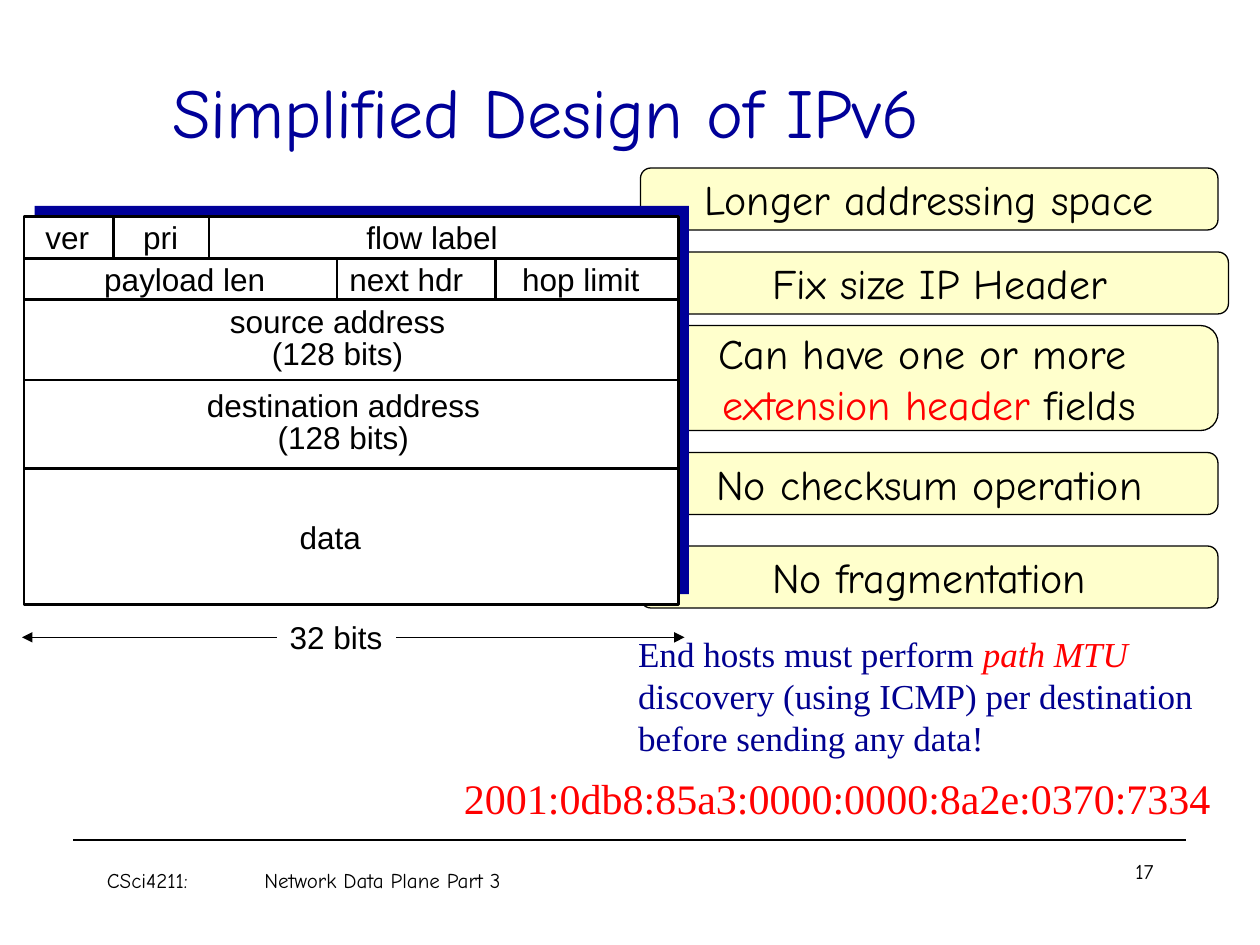
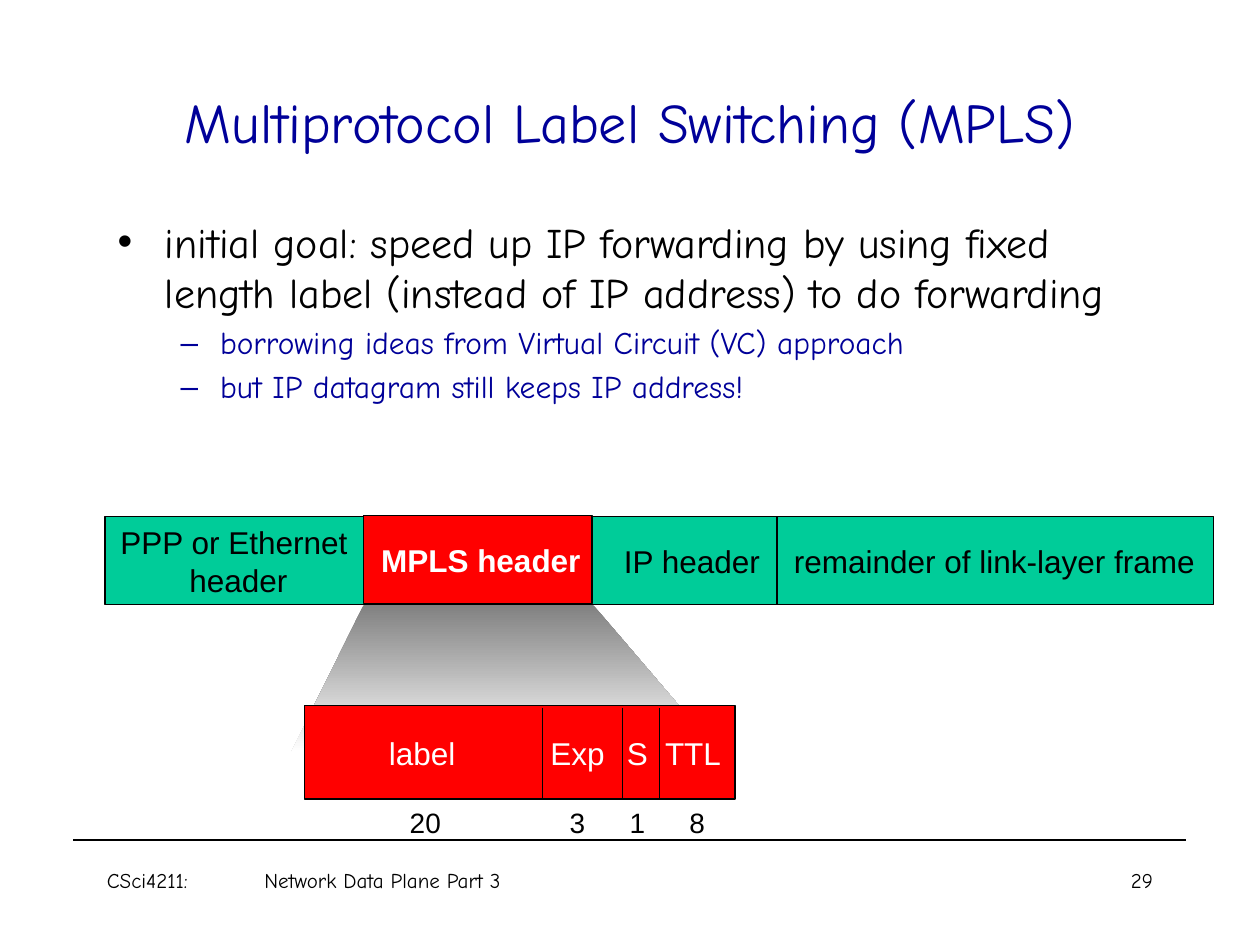
import pptx
import pptx.dml.color
import pptx.enum.shapes
import pptx.enum.text
import pptx.oxml.ns
import pptx.util
from lxml import etree

RGB = pptx.dml.color.RGBColor
KIND = pptx.enum.shapes.MSO_SHAPE
ALIGN = pptx.enum.text.PP_ALIGN
ANCHOR = pptx.enum.text.MSO_ANCHOR

BLACK = RGB(0x00, 0x00, 0x00)
WHITE = RGB(0xFF, 0xFF, 0xFF)
GRAY = RGB(0x80, 0x80, 0x80)
NAVY = RGB(0x00, 0x00, 0x99)
INK = RGB(0x00, 0x00, 0x90)
RED = RGB(0xFF, 0x00, 0x00)
GREEN = RGB(0x00, 0xCC, 0x99)
CREAM = RGB(0xFF, 0xFF, 0xCC)

HAND = "Comic Neue"
SANS = "Arial"
SERIF = "Times New Roman"

WIDE, HIGH = pptx.util.Inches(10), pptx.util.Inches(7.5)
COLS, ROWS = 120, 90
LINE_H = 4.8  # rows taken by one line of 18 point text


def col(n):
    return round(n * WIDE / COLS)


def row(n):
    return round(n * HIGH / ROWS)


def span(box):
    """Turn a grid box (left, top, width, height) into slide lengths."""
    left, top, width, height = box
    return col(left), row(top), col(width), row(height)


def write(frame, lines, size=18, font=SANS, color=BLACK, bold=False,
          italic=False, align=ALIGN.LEFT, anchor=ANCHOR.MIDDLE,
          wrap=False, pitch=None):
    """Fill a text frame; a line is a string or a list of (text, changes)."""
    frame.auto_size = pptx.enum.text.MSO_AUTO_SIZE.NONE
    frame.word_wrap = wrap
    frame.vertical_anchor = anchor
    base = dict(size=size, font=font, color=color, bold=bold, italic=italic)
    for i, line in enumerate(lines):
        para = frame.paragraphs[0] if i == 0 else frame.add_paragraph()
        para.alignment = align
        if pitch:
            para.line_spacing = pitch
        for text, change in [(line, {})] if isinstance(line, str) else line:
            look = {**base, **change}
            run = para.add_run()
            run.text = text
            run.font.name = look["font"]
            run.font.size = pptx.util.Pt(look["size"])
            run.font.bold = look["bold"]
            run.font.italic = look["italic"]
            run.font.color.rgb = look["color"]


def label(slide, box, lines, **look):
    item = slide.shapes.add_textbox(*span(box))
    write(item.text_frame, lines, **look)
    return item


def block(slide, box, fill, edge=None, kind=KIND.RECTANGLE):
    item = slide.shapes.add_shape(kind, *span(box))
    item.shadow.inherit = False
    item.fill.solid()
    item.fill.fore_color.rgb = fill
    if edge:
        item.line.color.rgb = BLACK
        item.line.width = pptx.util.Pt(edge)
    else:
        item.line.fill.background()
    return item


def rule(slide, x1, y1, x2, y2, width=0.75, arrows=False):
    item = slide.shapes.add_connector(
        pptx.enum.shapes.MSO_CONNECTOR.STRAIGHT,
        col(x1), row(y1), col(x2), row(y2))
    item.line.color.rgb = BLACK
    item.line.width = pptx.util.Pt(width)
    props = item._element.spPr
    if arrows:
        stroke = props.find(pptx.oxml.ns.qn("a:ln"))
        for end in ("a:headEnd", "a:tailEnd"):
            etree.SubElement(stroke, pptx.oxml.ns.qn(end), type="triangle")
    etree.SubElement(props, pptx.oxml.ns.qn("a:effectLst"))


def cells(slide, box, items, width=0.75, **look):
    """Split a strip into cells given as (lines, text left, text width, end)."""
    left, top, wide, high = box
    for lines, start, size, end in items:
        if end < wide:
            rule(slide, left + end, top, left + end, top + high, width)
        tall = LINE_H if len(lines) == 1 else 7.8
        label(slide, (left + start, top + (high - tall) / 2, size, tall),
              lines, align=ALIGN.CENTER, **look)


def title(slide, box, text, size):
    head = slide.shapes.title
    head.left, head.top, head.width, head.height = span(box)
    write(head.text_frame, [text], size=size, font=HAND, color=NAVY,
          align=ALIGN.CENTER, wrap=True)


def footer(slide, page, box, align):
    rule(slide, 7, 80, 113, 80)
    small = dict(size=12, font=HAND, anchor=ANCHOR.TOP, wrap=True)
    label(slide, box, [page], align=align, **small)
    course = label(slide, (9, 82, 47, 4),
                   ["CSci4211:\tNetwork Data Plane Part 3"], **small)
    props = course.text_frame.paragraphs[0]._p.get_or_add_pPr()
    tabs = etree.SubElement(props, pptx.oxml.ns.qn("a:tabLst"))
    etree.SubElement(tabs, pptx.oxml.ns.qn("a:tab"),
                     pos=str(col(15)), algn="l")


def notes(slide, box):
    left, top, wide, high = box
    short = 5.9
    items = [
        (0, 0, short, ["Longer addressing space"]),
        (1, 8, short, ["Fix size IP Header"]),
        (0, 15, 10, ["Can have one or more ",
                     [("extension header ", {"color": RED}),
                      ("fields", {})]]),
        (0, 27.1, short, ["No checksum operation"]),
        (0, 36, short, ["No fragmentation"]),
    ]
    for x, y, tall, lines in items:
        note = block(slide, (left + x, top + y, wide, tall), CREAM, 0.75,
                     KIND.ROUNDED_RECTANGLE)
        write(note.text_frame, lines, size=24, font=HAND, align=ALIGN.CENTER)


def packet(slide, box):
    """Draw the IPv6 header with its fields, row by row."""
    left, top, wide, high = box
    block(slide, (left + 1, top - 1, wide, high), NAVY)
    block(slide, box, WHITE, 1.5)
    bands = [
        (4, [(["ver"], 0.8, 6.6, 8.5), (["pri"], 10.1, 5.8, 17.6),
             (["flow label"], 31.4, 14.9, wide)]),
        (7.9, [(["payload len"], 6.4, 17.8, 29.8),
               (["next hdr"], 29.8, 13.2, 44.9),
               (["hop limit"], 46.2, 13.6, wide)]),
        (15.6, [(["source address", "(128 bits)"], 18.4, 22.9, wide)]),
        (24, [(["destination address", "(128 bits)"], 16.2, 28.4, wide)]),
        (high, [(["data"], 25, 8.3, wide)]),
    ]
    start = 0
    for end, items in bands:
        if end < high:
            rule(slide, left, top + end, left + wide, top + end, 1.5)
        cells(slide, (left, top + start, wide, end - start), items,
              width=1.5, pitch=0.85 if len(items[0][0]) > 1 else None)
        start = end
    below = top + high + 3.1
    rule(slide, left - 0.2, below, left + wide + 0.6, below, arrows=True)
    scale = block(slide, (left + 24.1, below - LINE_H / 2, 11.3, LINE_H),
                  WHITE)
    write(scale.text_frame, ["32 bits"])


def frame(slide, box):
    """Draw the link-layer frame with the MPLS header picked out."""
    left, top, wide, high = box
    block(slide, box, GREEN, 0.75)
    cells(slide, box, [
        (["PPP or Ethernet ", "header"], 0.2, 25, 24.7),
        (["IP header"], 48.2, 15.4, 64),
        (["remainder of link-layer frame"], 64.4, 40.6, wide)])
    mark = (left + 24.6, top - 0.1, 21.8, high)
    block(slide, mark, RED, 0.75)
    cells(slide, mark, [(["MPLS header"], 0.5, 21.4, 21.8)],
          color=WHITE, bold=True)


def beam(slide, box):
    """Draw the fading wedge that widens from the MPLS header down."""
    left, top, wide, high = box
    pen = slide.shapes.build_freeform(col(left + 7), row(top))
    pen.add_line_segments([
        (col(left + x), row(top + y))
        for x, y in [(0, high), (wide, high), (28.7, 0)]])
    wedge = pen.convert_to_shape()
    wedge.shadow.inherit = False
    wedge.line.fill.background()
    wedge.fill.gradient()
    wedge.fill.gradient_angle = 270
    for stop, color in zip(wedge.fill.gradient_stops, (GRAY, WHITE)):
        stop.color.rgb = color


def fields(slide, box):
    """Draw the MPLS header's fields with their bit counts below."""
    left, top, wide, high = box
    block(slide, box, RED, 0.75)
    cells(slide, (left, top + 0.2, wide, high - 0.2), [
        (["label"], 6.8, 8.8, 22.7), (["Exp"], 22.2, 7.6, 30.3),
        (["S"], 29.5, 4.4, 33.8), (["TTL"], 33.1, 7.8, wide)], color=WHITE)
    for bits, x in (("20", 11.5), ("3", 26), ("1", 31.7), ("8", 37.4)):
        label(slide, (left + x - 2.7, top + high, 5.4, 4.4), [bits],
              size=16, align=ALIGN.CENTER)


def goals(slide, box):
    body = slide.placeholders[1]
    body.left, body.top, body.width, body.height = span(box)
    sub = dict(size=18, color=NAVY)
    write(body.text_frame, [
        "initial goal: speed up IP forwarding by using fixed length label "
        "(instead of IP address) to do forwarding",
        [("borrowing ideas from Virtual Circuit (VC) approach", sub)],
        [("but IP datagram still keeps IP address!", sub)],
    ], size=24, font=HAND, anchor=ANCHOR.TOP, wrap=True)
    for para in body.text_frame.paragraphs[1:]:
        para.level = 1


def ip_slide(deck):
    slide = deck.slides.add_slide(deck.slide_layouts[5])
    title(slide, (-3, 3, 110, 15), "Simplified Design of IPv6", 40)
    notes(slide, (61, 16, 55, 41.9))
    label(slide, (43, 73, 74.4, 6),
          ["2001:0db8:85a3:0000:0000:8a2e:0370:7334"],
          size=24, font=SERIF, color=RED)
    label(slide, (59.6, 59.6, 55.7, 13.3), [
        [("End hosts must perform ", {}),
         ("path MTU", {"color": RED, "italic": True})],
        "discovery (using ICMP) per destination",
        "before sending any data!"], size=20, font=SERIF, color=INK)
    packet(slide, (2.3, 20.6, 62.3, 37))
    footer(slide, "17", (89.5, 81.2, 39, 6), ALIGN.CENTER)


def mpls_slide(deck):
    slide = deck.slides.add_slide(deck.slide_layouts[1])
    title(slide, (9, 4, 102, 15), "Multiprotocol Label Switching (MPLS)", 32)
    goals(slide, (10, 20, 102, 54))
    beam(slide, (27.7, 57.5, 40.8, 14.2))
    frame(slide, (10, 49.2, 105.6, 8.4))
    fields(slide, (29, 67.2, 41, 8.9))
    footer(slide, "29", (86, 82, 25, 6), ALIGN.RIGHT)


def main():
    deck = pptx.Presentation()
    deck.slide_width, deck.slide_height = WIDE, HIGH
    ip_slide(deck)
    mpls_slide(deck)
    deck.save("out.pptx")


if __name__ == "__main__":
    main()
